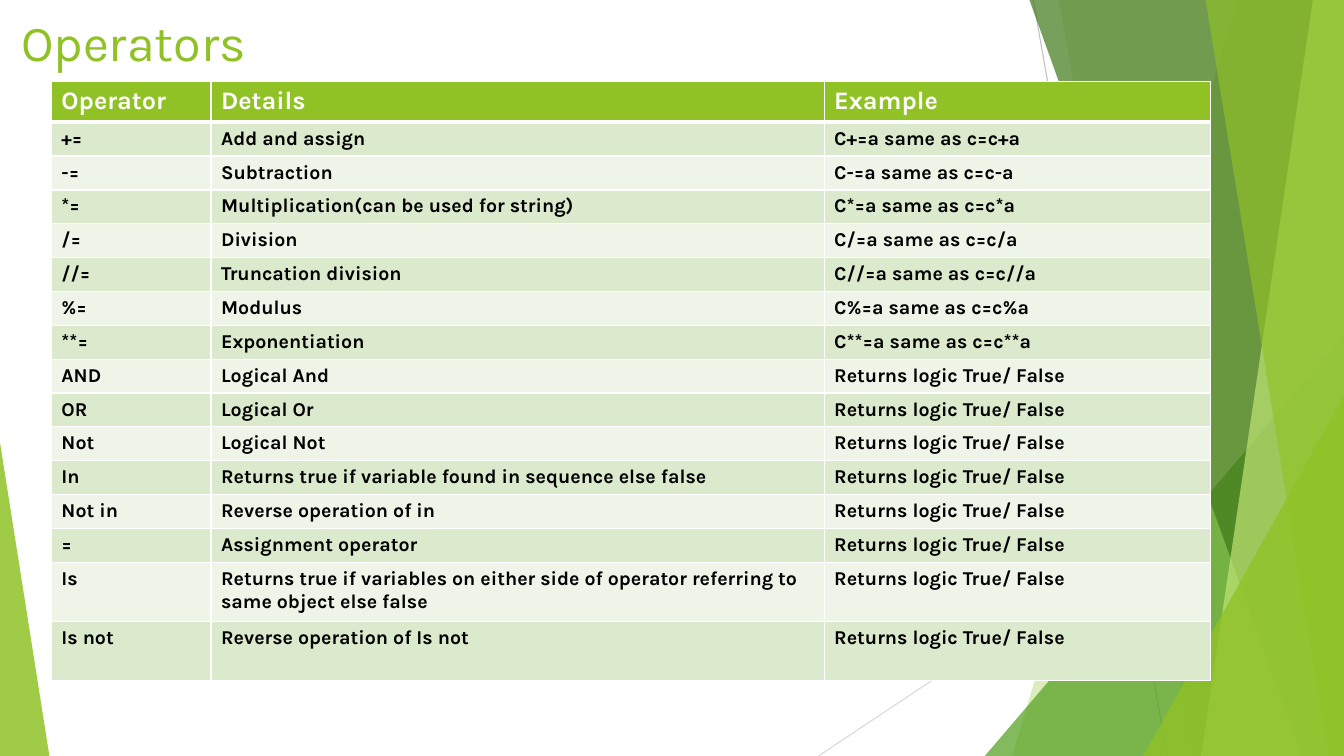
"""Build the slide that lists operators over a faceted green backdrop."""
from dataclasses import dataclass
from typing import NamedTuple

from lxml.etree import SubElement
from pptx import Presentation
from pptx.dml.color import RGBColor
from pptx.enum.shapes import MSO_CONNECTOR as Connector, MSO_SHAPE as Preset
from pptx.enum.text import MSO_ANCHOR as Anchor, PP_ALIGN as Align
from pptx.oxml.ns import qn
from pptx.shapes.autoshape import Shape
from pptx.slide import Slide
from pptx.table import _Cell as Cell
from pptx.text.text import TextFrame
from pptx.util import Pt


@dataclass(frozen=True)
class Theme:
    font: str = "Karla"
    green: str = "90C226"
    leaf: str = "54A021"
    forest: str = "3F7819"
    lime: str = "C0E474"
    white: str = "FFFFFF"
    black: str = "000000"
    bands: tuple[str, str] = ("DBE9CD", "EEF4E8")
    title_size: float = 36
    header_size: float = 18
    body_size: float = 14


class Ray(NamedTuple):
    start: tuple[float, float]
    end: tuple[float, float]
    color: str


class Facet(NamedTuple):
    top_x: float
    bottom_x: float
    color: str
    opacity: int


class Corner(NamedTuple):
    left: float
    top: float
    width: float
    apex: float
    color: str
    opacity: int


class Operator(NamedTuple):
    symbol: str
    details: str
    example: str


THEME = Theme()
WIDTH, HEIGHT = 960, 540
BLEED_TOP = -0.72
LOGIC = "Returns logic True/ False"

BACKDROP = (
    Ray((738, 0), (833.76, HEIGHT), "BFBFBF"),
    Ray((WIDTH, 290.16), (584.64, HEIGHT), "D9D9D9"),
    Facet(884.16, 722.88, THEME.green, 30),
    Facet(756, 851.76, THEME.green, 20),
    Corner(703.44, 239.76, 256.56, 1, THEME.leaf, 72),
    Facet(735.12, 929.52, THEME.forest, 70),
    Facet(938.16, 858.24, THEME.lime, 70),
    Facet(861.12, 948.96, THEME.green, 65),
    Corner(816.48, 282.96, 143.52, 1, THEME.green, 80),
    Corner(0, 316.08, 35.28, 0, THEME.green, 85),
)

ASSIGNMENTS = (
    ("+", "Add and assign"),
    ("-", "Subtraction"),
    ("*", "Multiplication(can be used for string)"),
    ("/", "Division"),
    ("//", "Truncation division"),
    ("%", "Modulus"),
    ("**", "Exponentiation"),
)
LOGICALS = (
    ("AND", "Logical And"),
    ("OR", "Logical Or"),
    ("Not", "Logical Not"),
    ("In", "Returns true if variable found in sequence else false"),
    ("Not in", "Reverse operation of in"),
    ("=", "Assignment operator"),
    ("Is", "Returns true if variables on either side of operator referring to same object else false"),
    ("Is not", "Reverse operation of Is not"),
)
ROWS = (
    Operator("Operator", "Details", "Example"),
    *(Operator(f"{sign}=", details, f"C{sign}=a same as c=c{sign}a") for sign, details in ASSIGNMENTS),
    *(Operator(symbol, details, LOGIC) for symbol, details in LOGICALS),
)
COLUMN_WIDTHS = (114, 438, 276)
ROW_HEIGHTS = (29, *[24.2] * 13, 42.3, 42.3)


def rgb(color: str) -> RGBColor:
    return RGBColor.from_string(color)


def paint(shape: Shape, color: str, opacity: int) -> None:
    shape.shadow.inherit = False
    shape.line.fill.background()
    shape.fill.solid()
    shape.fill.fore_color.rgb = rgb(color)
    color_element = shape.element.spPr.find(f"{qn('a:solidFill')}/{qn('a:srgbClr')}")
    SubElement(color_element, qn("a:alpha"), val=str(opacity * 1000))


def draw_ray(slide: Slide, ray: Ray) -> None:
    ends = (Pt(value) for value in (*ray.start, *ray.end))
    connector = slide.shapes.add_connector(Connector.STRAIGHT, *ends)
    connector.line.color.rgb = rgb(ray.color)
    connector.line.width = Pt(0.75)
    SubElement(connector.element.spPr, qn("a:effectLst"))


def draw_facet(slide: Slide, facet: Facet) -> None:
    builder = slide.shapes.build_freeform(facet.top_x, BLEED_TOP, scale=Pt(1))
    builder.add_line_segments([(WIDTH, BLEED_TOP), (WIDTH, HEIGHT), (facet.bottom_x, HEIGHT)])
    paint(builder.convert_to_shape(), facet.color, facet.opacity)


def draw_corner(slide: Slide, corner: Corner) -> None:
    box = (Pt(value) for value in (corner.left, corner.top, corner.width, HEIGHT - corner.top))
    triangle = slide.shapes.add_shape(Preset.ISOSCELES_TRIANGLE, *box)
    triangle.adjustments[0] = corner.apex
    paint(triangle, corner.color, corner.opacity)


def write(frame: TextFrame, text: str, size: float, color: str, bold: bool) -> None:
    frame.text = text
    paragraph = frame.paragraphs[0]
    paragraph.alignment = Align.LEFT
    font = paragraph.runs[0].font
    font.name, font.size, font.bold = THEME.font, Pt(size), bold
    font.color.rgb = rgb(color)


def place_title(slide: Slide, text: str) -> None:
    title = slide.shapes.title
    title.left, title.top, title.width, title.height = Pt(7.92), Pt(0), Pt(792), Pt(65.52)
    frame = title.text_frame
    frame.vertical_anchor = Anchor.TOP
    frame.margin_top = Pt(7.7)
    write(frame, text, THEME.title_size, THEME.green, False)
    title.element.getparent().append(title.element)


def set_borders(cell: Cell, top: float, bottom: float) -> None:
    properties = cell._tc.get_or_add_tcPr()
    sides = {"lnL": 1, "lnR": 1, "lnT": top, "lnB": bottom}
    for index, (side, width) in enumerate(sides.items()):
        line = SubElement(properties, qn(f"a:{side}"), w=str(Pt(width)))
        fill = SubElement(line, qn("a:solidFill"))
        SubElement(fill, qn("a:srgbClr"), val=THEME.white)
        properties.insert(index, line)


def draw_table(slide: Slide) -> None:
    box = (Pt(value) for value in (36.72, 58.32, sum(COLUMN_WIDTHS), sum(ROW_HEIGHTS)))
    table = slide.shapes.add_table(len(ROWS), len(COLUMN_WIDTHS), *box).table
    for column, width in zip(table.columns, COLUMN_WIDTHS):
        column.width = Pt(width)
    for index, (row, height, texts) in enumerate(zip(table.rows, ROW_HEIGHTS, ROWS)):
        row.height = Pt(height)
        header = index == 0
        size = THEME.header_size if header else THEME.body_size
        color = THEME.white if header else THEME.black
        background = THEME.green if header else THEME.bands[(index - 1) % 2]
        for cell, text in zip(row.cells, texts):
            write(cell.text_frame, text, size, color, True)
            cell.fill.solid()
            cell.fill.fore_color.rgb = rgb(background)
            set_borders(cell, top=3 if index == 1 else 1, bottom=3 if header else 1)


def main() -> None:
    presentation = Presentation()
    presentation.slide_width, presentation.slide_height = Pt(WIDTH), Pt(HEIGHT)
    slide = presentation.slides.add_slide(presentation.slide_layouts.get_by_name("Title Only"))
    painters = {Ray: draw_ray, Facet: draw_facet, Corner: draw_corner}
    for piece in BACKDROP:
        painters[type(piece)](slide, piece)
    place_title(slide, "Operators")
    draw_table(slide)
    presentation.save("out.pptx")


main()
